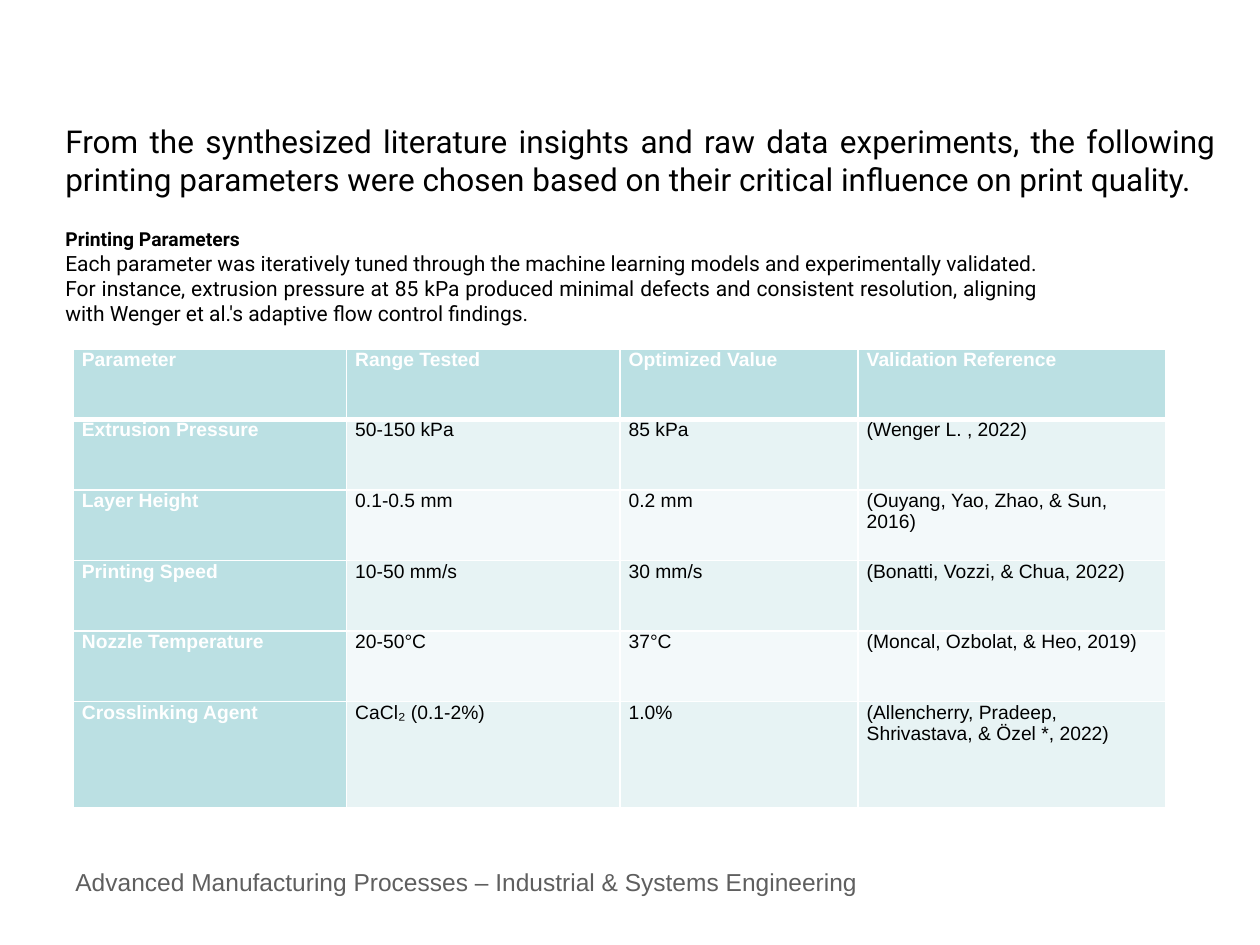
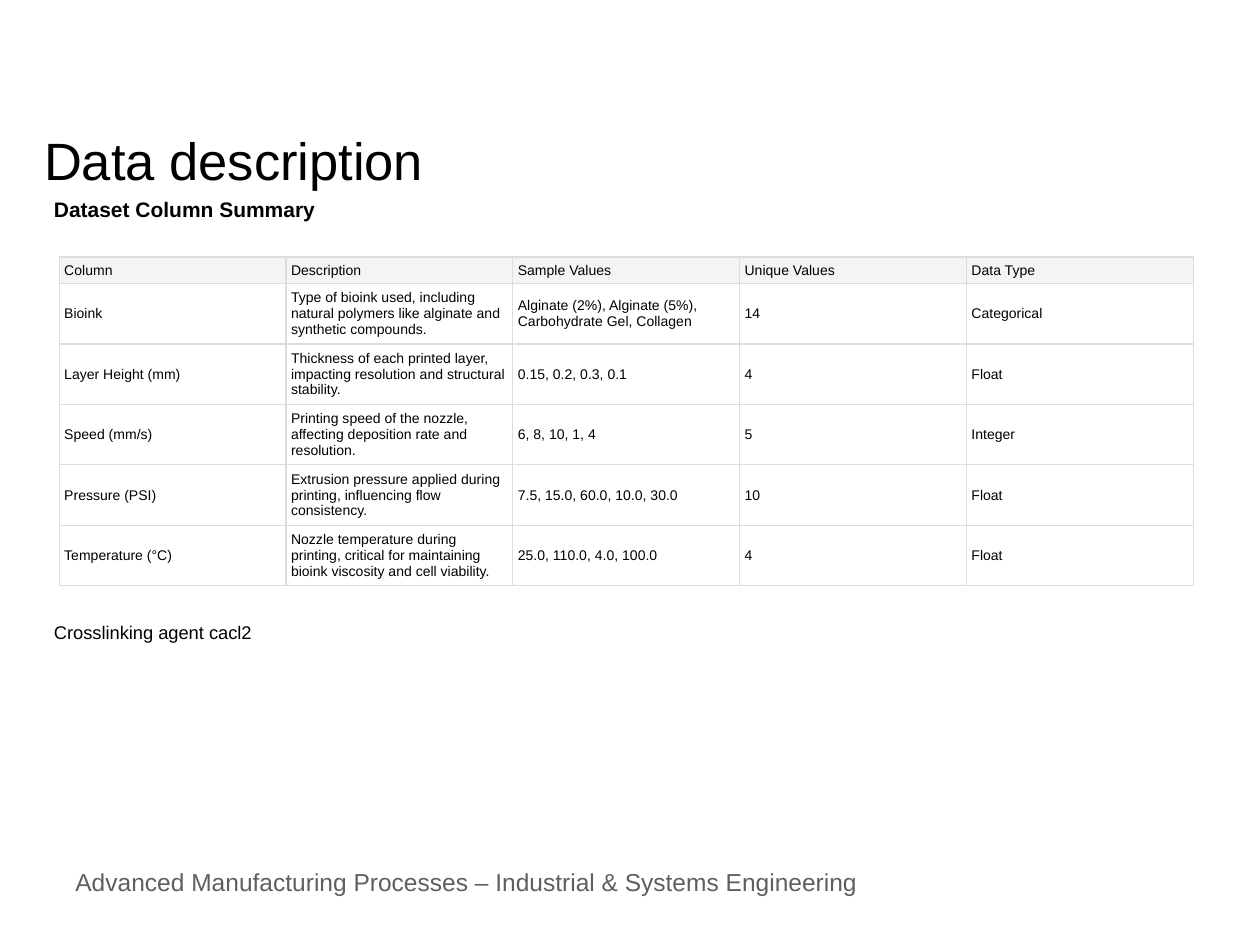
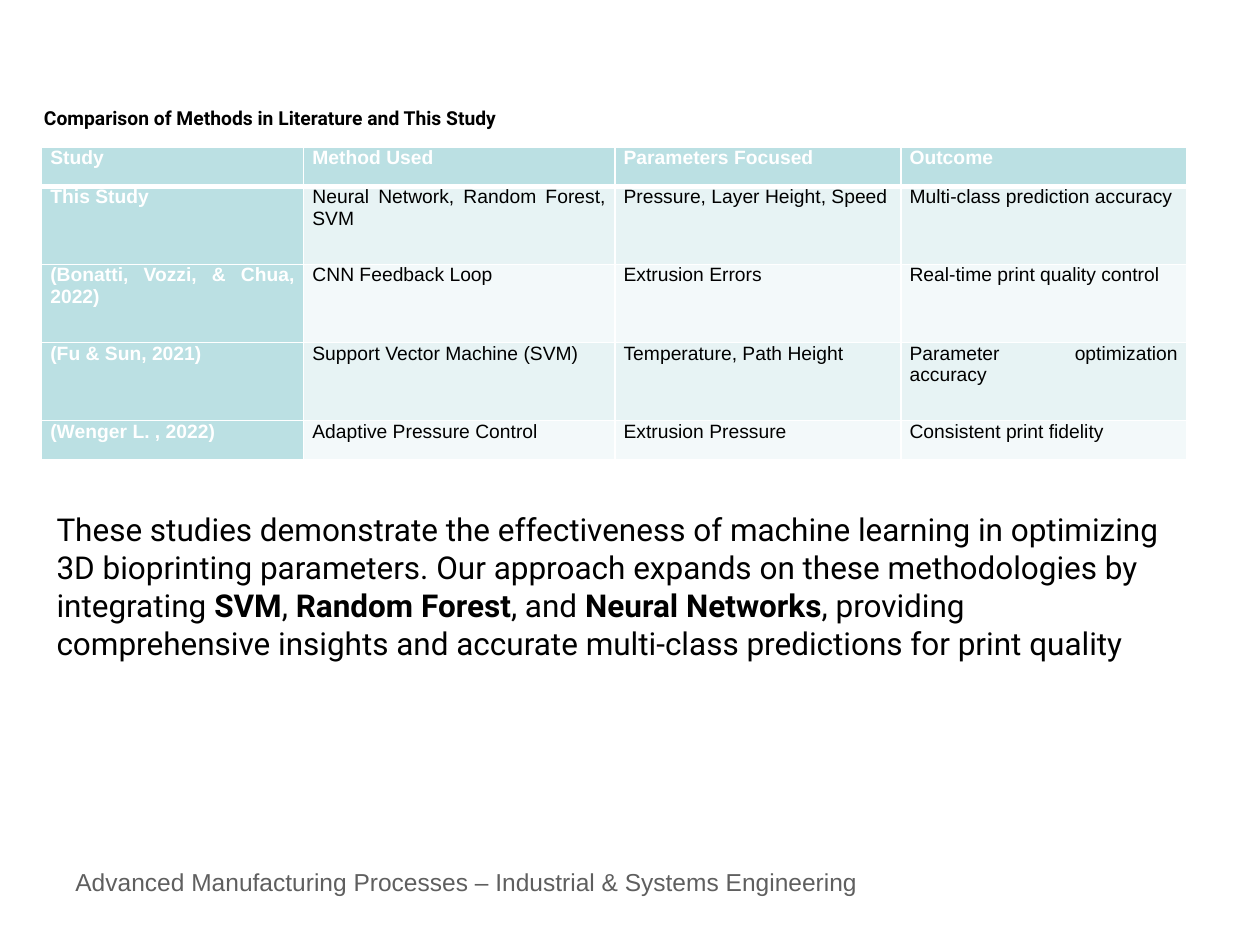
from lxml import etree
from pptx import Presentation
from pptx.dml.color import RGBColor
from pptx.enum.text import MSO_ANCHOR, MSO_AUTO_SIZE, PP_ALIGN
from pptx.oxml.ns import qn
from pptx.util import Inches, Pt

LEFT, JUSTIFY = PP_ALIGN.LEFT, PP_ALIGN.JUSTIFY
TOP, MIDDLE = MSO_ANCHOR.TOP, MSO_ANCHOR.MIDDLE
NO_AUTOFIT = MSO_AUTO_SIZE.NONE
TITLE_ONLY, BLANK = 5, 6
SANS, ROBOTO = "Arial", "Roboto"

COLORS = {
    "text": "000000",
    "footer": "5F5F5F",
    "white": "FFFFFF",
    "teal": "BBE0E3",
    "band_dark": "E7F3F4",
    "band_light": "F3F9FA",
    "header_gray": "F4F4F4",
    "grid_gray": "DDDDDD",
}

FOOTER = "Advanced Manufacturing Processes – Industrial & Systems Engineering"

PARAMETERS = [
    ["Parameter", "Range Tested", "Optimized Value", "Validation Reference"],
    ["Extrusion Pressure", "50-150 kPa", "85 kPa", "(Wenger L. , 2022)"],
    ["Layer Height", "0.1-0.5 mm", "0.2 mm", "(Ouyang, Yao, Zhao, & Sun, 2016)"],
    ["Printing Speed", "10-50 mm/s", "30 mm/s", "(Bonatti, Vozzi, & Chua, 2022)"],
    ["Nozzle Temperature", "20-50°C", "37°C", "(Moncal, Ozbolat, & Heo, 2019)"],
    ["Crosslinking Agent", "CaCl₂ (0.1-2%)", "1.0%",
     "(Allencherry, Pradeep, Shrivastava, & Özel *, 2022)"],
]

DATA_COLUMNS = [
    ["Column", "Description", "Sample Values", "Unique Values", "Data Type"],
    ["Bioink",
     "Type of bioink used, including natural polymers like alginate and synthetic compounds.",
     "Alginate (2%), Alginate (5%), Carbohydrate Gel, Collagen", "14", "Categorical"],
    ["Layer Height (mm)",
     "Thickness of each printed layer, impacting resolution and structural stability.",
     "0.15, 0.2, 0.3, 0.1", "4", "Float"],
    ["Speed (mm/s)",
     "Printing speed of the nozzle, affecting deposition rate and resolution.",
     "6, 8, 10, 1, 4", "5", "Integer"],
    ["Pressure (PSI)",
     "Extrusion pressure applied during printing, influencing flow consistency.",
     "7.5, 15.0, 60.0, 10.0, 30.0", "10", "Float"],
    ["Temperature (°C)",
     "Nozzle temperature during printing, critical for maintaining bioink viscosity "
     "and cell viability.",
     "25.0, 110.0, 4.0, 100.0", "4", "Float"],
]

STUDIES = [
    ["Study", "Method Used", "Parameters Focused", "Outcome"],
    ["This Study", "Neural Network, Random Forest, SVM",
     "Pressure, Layer Height, Speed", "Multi-class prediction accuracy"],
    ["(Bonatti, Vozzi, & Chua, 2022)", "CNN Feedback Loop",
     "Extrusion Errors", "Real-time print quality control"],
    ["(Fu & Sun, 2021)", "Support Vector Machine (SVM)",
     "Temperature, Path Height", "Parameter optimization accuracy"],
    ["(Wenger L. , 2022)", "Adaptive Pressure Control",
     "Extrusion Pressure", "Consistent print fidelity"],
]


def rgb(name):
    return RGBColor.from_string(COLORS[name])


def style(paragraph, size, face=SANS, color="text", bold=False, align=LEFT):
    paragraph.alignment = align
    font = paragraph.font
    font.name, font.size, font.bold = face, Pt(size), bold
    font.color.rgb = rgb(color)


def add_text(slide, box, paragraphs, anchor=TOP, inset_top=0.05):
    frame_shape = slide.shapes.add_textbox(*map(Inches, box))
    frame = frame_shape.text_frame
    frame.word_wrap = True
    frame.vertical_anchor = anchor
    frame.margin_top = Inches(inset_top)
    for index, (text, look) in enumerate(paragraphs):
        paragraph = frame.add_paragraph() if index else frame.paragraphs[0]
        paragraph.text = text
        style(paragraph, **look)
    return frame_shape


def set_borders(cell, color, widths):
    properties = cell._tc.get_or_add_tcPr()
    for side, width in zip(("lnL", "lnR", "lnT", "lnB"), widths):
        line = etree.SubElement(properties, qn("a:" + side), w=str(Pt(width)))
        fill = etree.SubElement(line, qn("a:solidFill"))
        etree.SubElement(fill, qn("a:srgbClr"), val=COLORS[color])


def add_grid(slide, origin, widths, heights, rows, margins, anchor, look_of):
    box = (*origin, sum(widths), sum(heights))
    table = slide.shapes.add_table(len(rows), len(widths), *map(Inches, box)).table
    table.first_row = table.horz_banding = False
    for column, width in zip(table.columns, widths):
        column.width = Inches(width)
    for r, (values, height) in enumerate(zip(rows, heights)):
        table.rows[r].height = Inches(height)
        for c, value in enumerate(values):
            cell = table.cell(r, c)
            fill, look, border, border_widths = look_of(r, c)
            cell.margin_left = cell.margin_right = Inches(margins[0])
            cell.margin_top = cell.margin_bottom = Inches(margins[1])
            cell.vertical_anchor = anchor
            set_borders(cell, border, border_widths)
            if fill:
                cell.fill.solid()
                cell.fill.fore_color.rgb = rgb(fill)
            else:
                cell.fill.background()
            cell.text = value
            style(cell.text_frame.paragraphs[0], **look)


def add_teal_table(slide, origin, widths, heights, rows, align=LEFT):
    def look_of(r, c):
        heading = r == 0 or c == 0
        band = "band_dark" if r % 2 else "band_light"
        look = {"size": 11, "bold": heading, "align": align,
                "color": "white" if heading else "text"}
        edges = (1, 1, 3 if r == 1 else 1, 3 if r == 0 else 1)
        return "teal" if heading else band, look, "white", edges

    add_grid(slide, origin, widths, heights, rows, (0.07, 0), TOP, look_of)


def add_gray_table(slide, origin, widths, heights, rows):
    def look_of(r, c):
        return None if r else "header_gray", {"size": 8}, "grid_gray", (0.75,) * 4

    add_grid(slide, origin, widths, heights, rows, (0.04, 0.04), MIDDLE, look_of)


def add_title(slide, box, text):
    title = slide.shapes.title
    title.left, title.top, title.width, title.height = map(Inches, box)
    frame = title.text_frame
    frame.auto_size = NO_AUTOFIT
    frame.vertical_anchor = MIDDLE
    frame.text = text
    style(frame.paragraphs[0], 30)


def add_master_footer(prs, slide):
    footer = add_text(slide, (0.5, 6.83, 6.58, 0.34),
                      [(FOOTER, {"size": 14, "color": "footer"})])
    prs.slide_master.shapes.element.append(footer.element)


def build_parameters(slide):
    add_text(slide, (0.42, 0.92, 9.33, 0.71), [(
        "From the synthesized literature insights and raw data experiments, the following "
        "printing parameters were chosen based on their critical influence on print quality.",
        {"size": 18, "face": ROBOTO, "align": JUSTIFY})])
    add_teal_table(slide, (0.58, 2.77), [2.17, 2.17, 1.89, 2.44],
                   [0.56] * 5 + [0.84], PARAMETERS)
    add_text(slide, (0.42, 1.75, 7.92, 0.89), [
        ("Printing Parameters",
         {"size": 11, "face": ROBOTO, "bold": True, "align": JUSTIFY}),
        ("Each parameter was iteratively tuned through the machine learning models and "
         "experimentally validated. For instance, extrusion pressure at 85 kPa produced "
         "minimal defects and consistent resolution, aligning with Wenger et al.'s "
         "adaptive flow control findings.",
         {"size": 12, "face": ROBOTO, "align": JUSTIFY})], MIDDLE)


def build_data_description(slide):
    add_title(slide, (0.25, 0.83, 9, 0.88), "Data description")
    add_gray_table(slide, (0.47, 2.04), [1.8] * 5, [0.21] + [0.48] * 5, DATA_COLUMNS)
    add_text(slide, (0.33, 1.55, 9.67, 0.5),
             [("Dataset Column Summary", {"size": 12, "bold": True})], inset_top=0.01)
    add_text(slide, (0.33, 4.88, 6.33, 0.28),
             [("Crosslinking agent cacl2", {"size": 10.5})])


def build_comparison(slide):
    add_teal_table(slide, (0.33, 1.17), [2.08, 2.47, 2.27, 2.27],
                   [0.31] + [0.62] * 3 + [0.31], STUDIES, JUSTIFY)
    add_text(slide, (0.25, 0.83, 9.75, 0.5),
             [("Comparison of Methods in Literature and This Study",
               {"size": 11, "face": ROBOTO, "bold": True})], inset_top=0.01)
    conclusion = add_text(slide, (0.35, 4, 9.08, 1.31),
                          [("", {"size": 18, "face": ROBOTO})])
    phrases = [
        "These studies demonstrate the effectiveness of machine learning in optimizing "
        "3D bioprinting parameters. Our approach expands on these methodologies by "
        "integrating ",
        "SVM", ", ", "Random Forest", ", and ", "Neural Networks",
        ", providing comprehensive insights and accurate multi-class predictions for "
        "print quality",
    ]
    for index, phrase in enumerate(phrases):
        run = conclusion.text_frame.paragraphs[0].add_run()
        run.text = phrase
        run.font.bold = index % 2 == 1


def main():
    prs = Presentation()
    prs.slide_width, prs.slide_height = Inches(10), Inches(7.5)
    pages = [(BLANK, build_parameters), (TITLE_ONLY, build_data_description),
             (BLANK, build_comparison)]
    for layout, build in pages:
        build(prs.slides.add_slide(prs.slide_layouts[layout]))
    add_master_footer(prs, prs.slides[0])
    prs.save("out.pptx")


if __name__ == "__main__":
    main()
